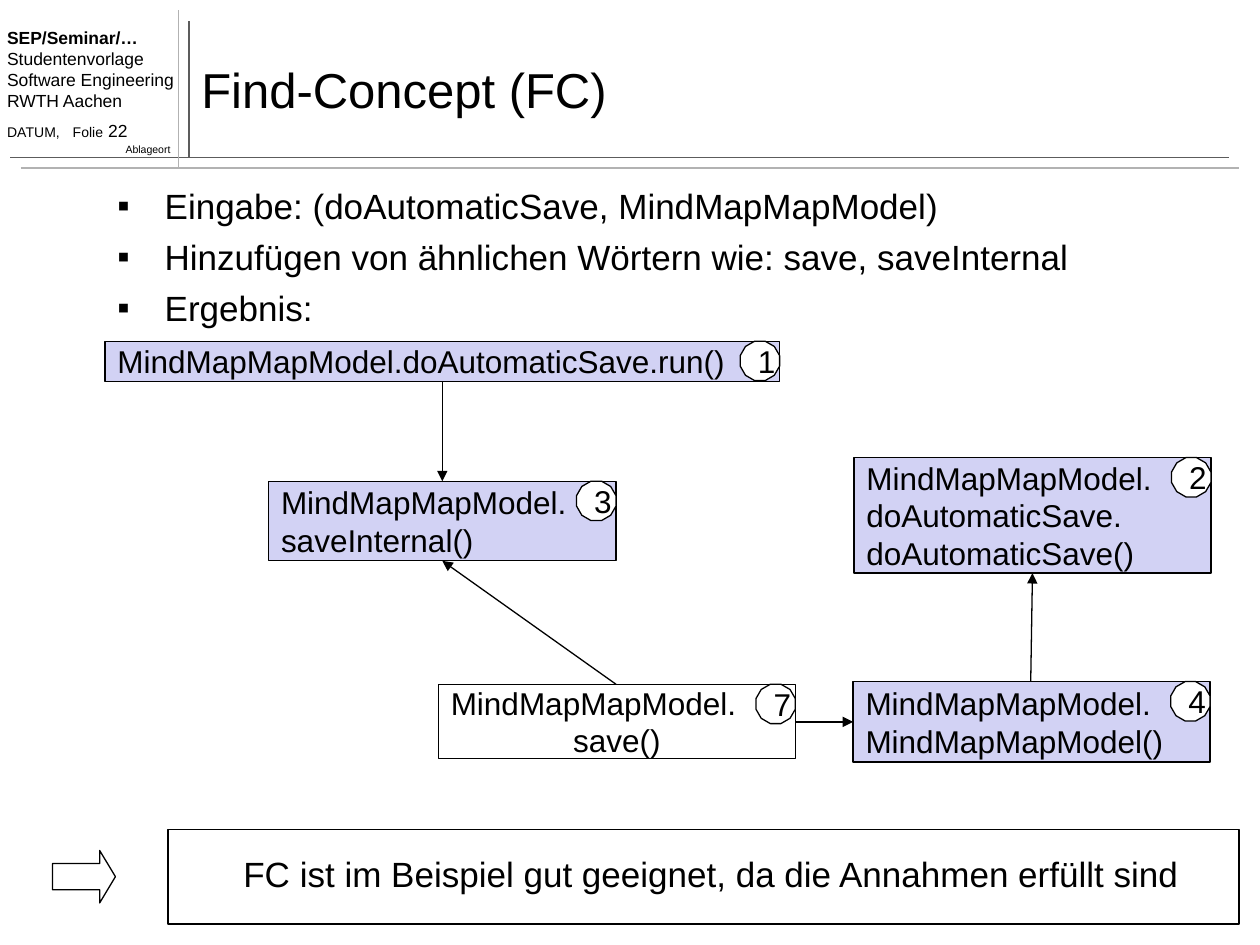
from lxml import etree
from pptx import Presentation
from pptx.dml.color import RGBColor
from pptx.enum.shapes import MSO_CONNECTOR, MSO_SHAPE as SHAPE
from pptx.enum.text import MSO_ANCHOR as ANCHOR, PP_ALIGN as ALIGN
from pptx.oxml.ns import qn
from pptx.util import Pt


def rgb(value):
    return RGBColor.from_string(value)


def put_text(sp, lines, size, anchor=ANCHOR.TOP, align=ALIGN.LEFT):
    """Write one paragraph per line in black Arial and return the paragraphs."""
    tf = sp.text_frame
    tf.word_wrap = True
    tf.vertical_anchor = anchor
    for i, line in enumerate(lines):
        p = tf.paragraphs[0] if i == 0 else tf.add_paragraph()
        p.text = line
        p.alignment = align
        for r in p.runs:
            r.font.name, r.font.size = "Arial", Pt(size)
            r.font.color.rgb = rgb("000000")
    return tf.paragraphs


prs = Presentation()
prs.slide_width, prs.slide_height = Pt(720), Pt(540)
s = prs.slides.add_slide(prs.slide_layouts[6])
shapes = s.shapes

# Header
sp = shapes.add_textbox(Pt(-3), Pt(12), Pt(111), Pt(74))
ps = put_text(sp, ["SEP/Seminar/…", "Studentenvorlage\nSoftware Engineering",
                   "RWTH Aachen", "DATUM,\tFolie"], 10)
ps[0].runs[0].font.bold = True
p = ps[3]
p.space_before = Pt(5)
p.runs[0].font.size = Pt(8)
r = p.add_run()
r.text = " 22"
r.font.name, r.font.size = "Arial", Pt(10)
r.font.color.rgb = rgb("000000")
tabs = etree.SubElement(p._p.get_or_add_pPr(), qn("a:tabLst"))
etree.SubElement(tabs, qn("a:tab"), pos=str(Pt(37.5)), algn="l")

sp = shapes.add_textbox(Pt(64), Pt(78), Pt(40.5), Pt(14.5))
put_text(sp, ["Ablageort"], 6, align=ALIGN.RIGHT)
sp.text_frame.word_wrap = False

sp = shapes.add_textbox(Pt(108), Pt(18), Pt(600), Pt(66))
put_text(sp, ["Find-Concept (FC)"], 28, ANCHOR.MIDDLE)

# Bullets
sp = shapes.add_textbox(Pt(60), Pt(102), Pt(648), Pt(426))
for p in put_text(sp, ["Eingabe: (doAutomaticSave, MindMapMapModel)",
                       "Hinzufügen von ähnlichen Wörtern wie: save, saveInternal",
                       "Ergebnis:"], 20):
    p.space_before = Pt(5)
    pPr = p._p.get_or_add_pPr()
    pPr.set("marL", str(Pt(27)))
    pPr.set("indent", str(Pt(-27)))
    etree.SubElement(pPr, qn("a:buFont"), typeface="Arial")
    etree.SubElement(pPr, qn("a:buChar"), char="▪")

# Call graph: number, left, top, width, height, fill, lines
LILAC, WHITE = "D2D2F4", "FFFFFF"
BADGE = 22.5
nodes = [
    ("7", 250.5, 391, 204, 42.5, WHITE, ["MindMapMapModel.", "save()"]),
    ("4", 487.5, 389.5, 204, 46, LILAC, ["MindMapMapModel.", "MindMapMapModel()"]),
    ("3", 153.5, 275, 198.5, 45.5, LILAC, ["MindMapMapModel.", "saveInternal()"]),
    ("2", 488, 261.5, 204, 66, LILAC,
     ["MindMapMapModel.", "doAutomaticSave.", "doAutomaticSave()"]),
    ("1", 60, 195, 385.5, 23, LILAC, ["MindMapMapModel.doAutomaticSave.run()"]),
]
outlined = []
for number, x, y, w, h, fill, lines in nodes:
    box = shapes.add_shape(SHAPE.RECTANGLE, Pt(x), Pt(y), Pt(w), Pt(h))
    ps = put_text(box, lines, 18, ANCHOR.MIDDLE)
    if lines[-1] == "save()":
        ps[-1].alignment = ALIGN.CENTER
    badge = shapes.add_shape(SHAPE.DODECAGON, Pt(x + w - BADGE), Pt(y), Pt(BADGE), Pt(BADGE))
    put_text(badge, [number], 18, ANCHOR.MIDDLE, ALIGN.CENTER)
    outlined += [(box, fill), (badge, WHITE)]

# Conclusion
arrow = shapes.add_shape(SHAPE.RIGHT_ARROW, Pt(30), Pt(486), Pt(36), Pt(30))
arrow.adjustments[0], arrow.adjustments[1] = 0.5, 0.3
frame = shapes.add_shape(SHAPE.RECTANGLE, Pt(96), Pt(474), Pt(612), Pt(54))
outlined += [(arrow, None), (frame, None)]
sp = shapes.add_textbox(Pt(96), Pt(483), Pt(612), Pt(32))
p = put_text(sp, ["FC ist im Beispiel gut geeignet, da die Annahmen erfüllt sind"],
             20, ANCHOR.MIDDLE)[0]
p._p.get_or_add_pPr().set("marL", str(Pt(36)))

for sp, fill in outlined:
    sp.shadow.inherit = False
    sp.line.color.rgb, sp.line.width = rgb("000000"), Pt(0.75)
    if fill:
        sp.fill.solid()
        sp.fill.fore_color.rgb = rgb(fill)
    else:
        sp.fill.background()

# Lines: start, end, colour, width, arrowhead
DARK, LIGHT, BLACK = "5C5C5C", "B2B2B2", "000000"
for x1, y1, x2, y2, color, width, head in [
    (108, 90, 108, 12, DARK, 1, False),
    (6, 90, 702, 90, DARK, 1, False),
    (12, 96, 708, 96, LIGHT, 1, False),
    (102, 96, 102, 6, LIGHT, 1, False),
    (454.5, 412.5, 487.5, 412.5, BLACK, 0.75, True),
    (352, 391, 252.75, 320.5, BLACK, 0.75, True),
    (589, 389.5, 590, 327.5, BLACK, 0.75, True),
    (252.75, 218, 252.75, 275, BLACK, 0.75, True),
]:
    c = shapes.add_connector(MSO_CONNECTOR.STRAIGHT, Pt(x1), Pt(y1), Pt(x2), Pt(y2))
    c.line.color.rgb, c.line.width = rgb(color), Pt(width)
    if head:
        etree.SubElement(c.line._get_or_add_ln(), qn("a:tailEnd"), type="triangle")
    etree.SubElement(c._element.spPr, qn("a:effectLst"))

prs.save("out.pptx")
